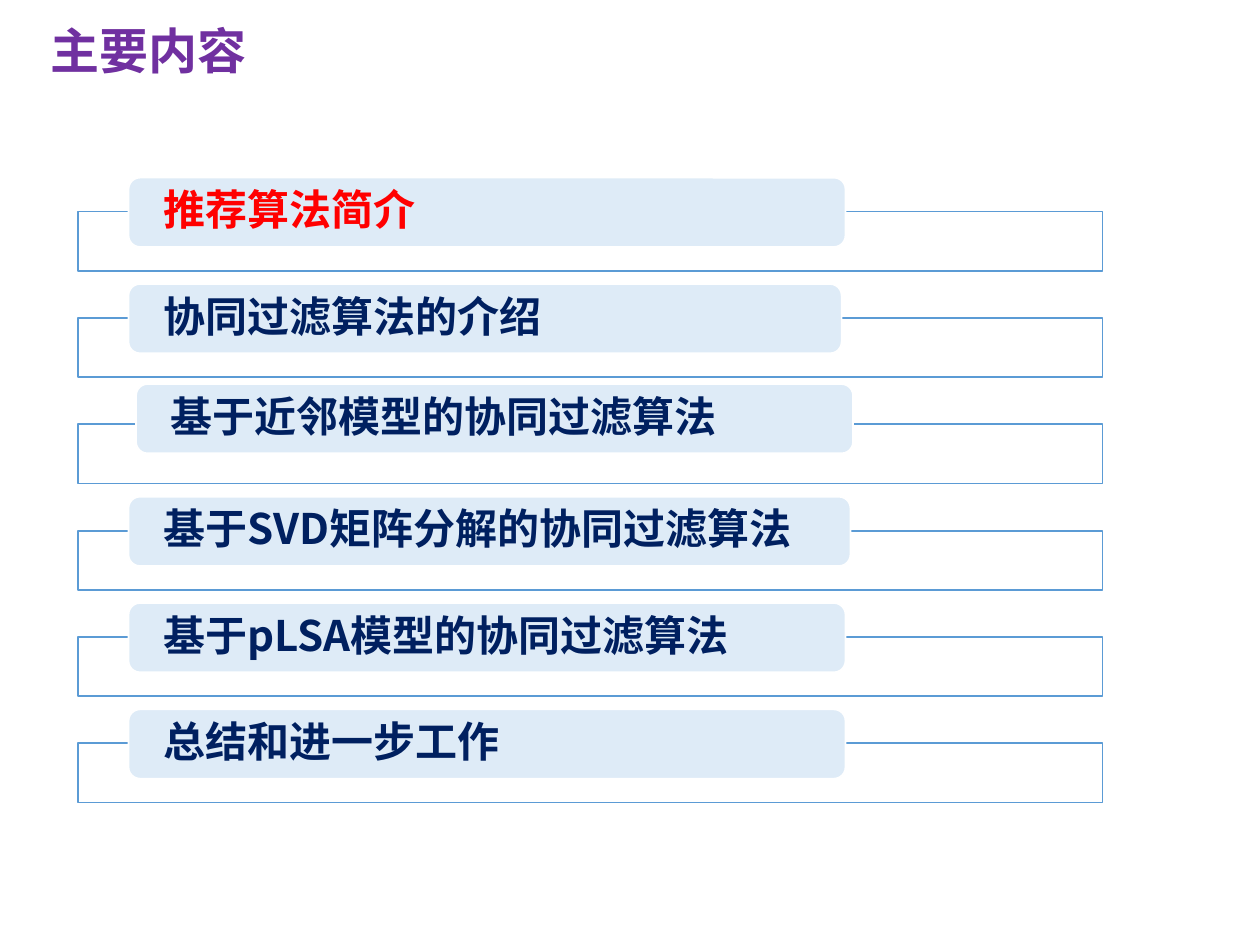
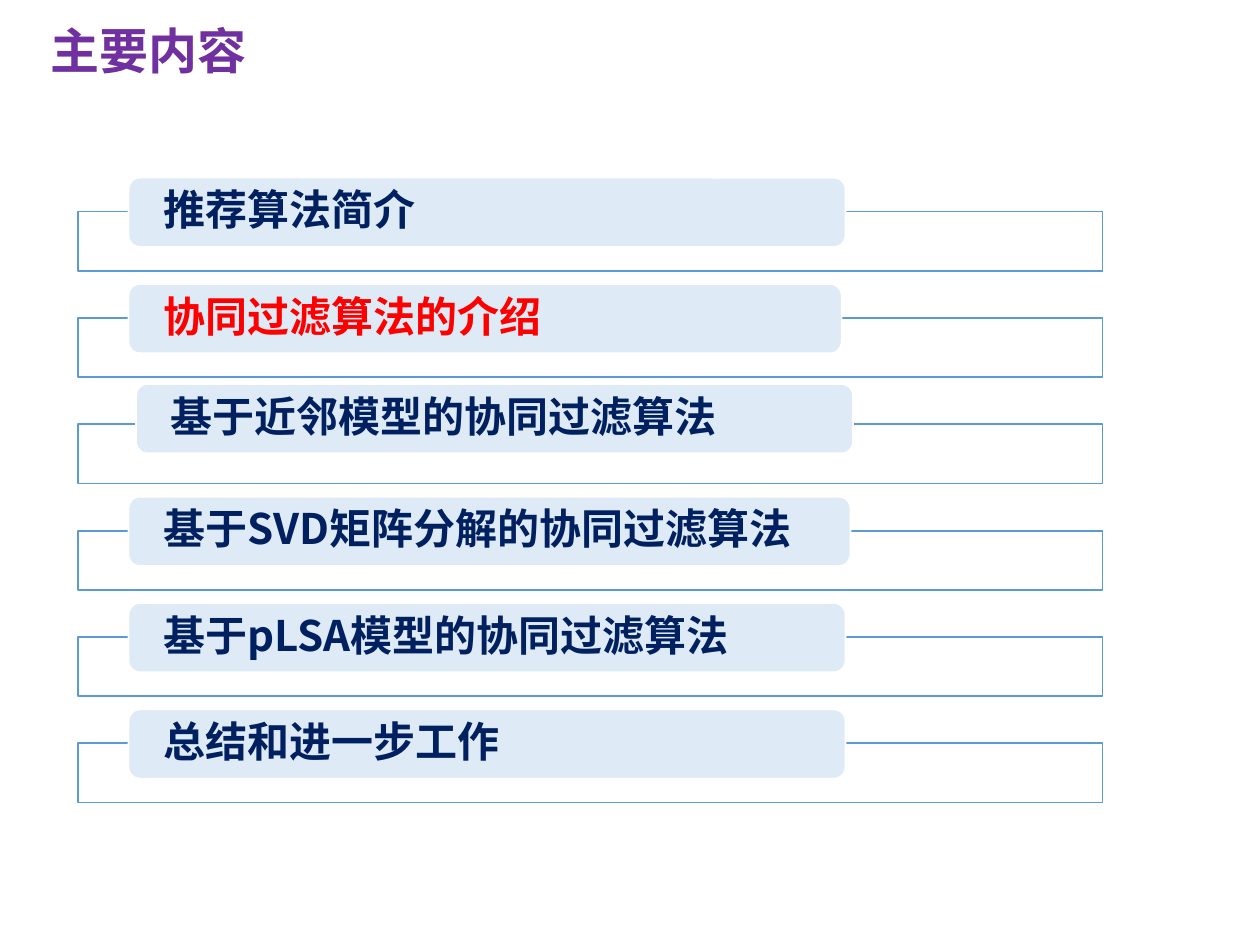
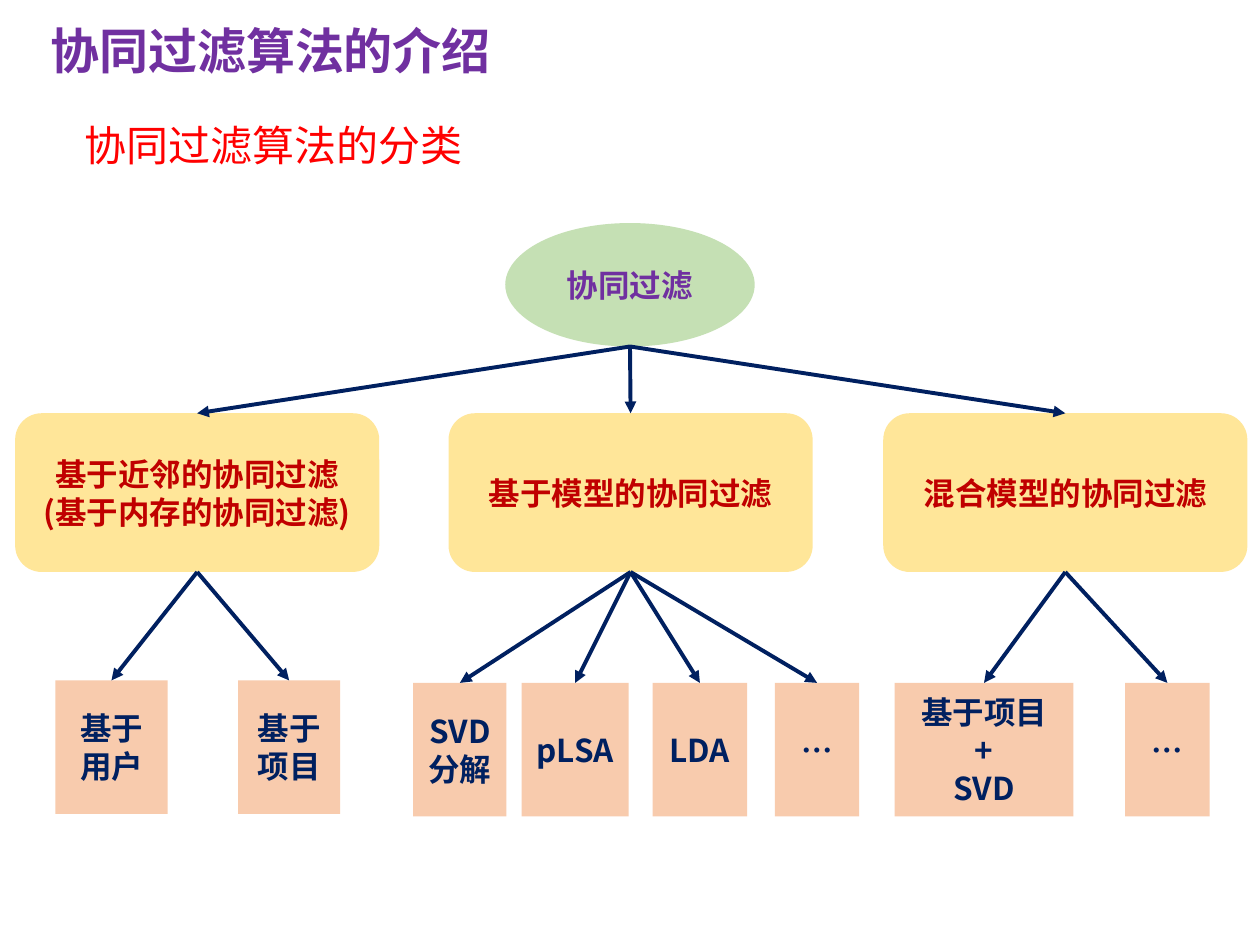
from lxml import etree
from pptx import Presentation
from pptx.dml.color import RGBColor
from pptx.enum.shapes import MSO_CONNECTOR, MSO_SHAPE
from pptx.enum.text import MSO_ANCHOR, PP_ALIGN
from pptx.oxml.ns import qn
from pptx.util import Inches, Pt

RECT, ROUNDED, OVAL = MSO_SHAPE.RECTANGLE, MSO_SHAPE.ROUNDED_RECTANGLE, MSO_SHAPE.OVAL
STRAIGHT = MSO_CONNECTOR.STRAIGHT
TOP, MIDDLE = MSO_ANCHOR.TOP, MSO_ANCHOR.MIDDLE
LEFT, CENTER = PP_ALIGN.LEFT, PP_ALIGN.CENTER
TOP_SIDE, BOTTOM_SIDE = 0, 2

FONT = "Noto Sans CJK SC"
TITLE_ONLY = 5
COLORS = {
    "white": "FFFFFF", "purple": "7030A0", "red": "FF0000", "navy": "002060",
    "dark_red": "C00000", "frame": "5B9BD5", "tab": "DEEBF7",
    "root": "C5E0B4", "branch": "FFE699", "leaf": "F8CBAD",
}

# Topic, left, width and vertical shift of its tab
TOPICS = [
    ("推荐算法简介", 1.02, 5.69, 0),
    ("协同过滤算法的介绍", 1.02, 5.66, 0),
    ("基于近邻模型的协同过滤算法", 1.08, 5.69, -0.05),
    ("基于SVD矩阵分解的协同过滤算法", 1.02, 5.73, 0),
    ("基于pLSA模型的协同过滤算法", 1.02, 5.69, 0),
    ("总结和进一步工作", 1.02, 5.69, 0),
]
FIRST_FRAME, LAST_FRAME = 1.68, 5.9

# Branch, left, top of its leaves, and each leaf with left and width
BRANCHES = [
    ("基于近邻的协同过滤\n(基于内存的协同过滤)", 0.12, 5.4,
     [("基于用户", 0.44, 0.89), ("基于项目", 1.89, 0.81)]),
    ("基于模型的协同过滤", 3.56, 5.42,
     [("SVD分解", 3.28, 0.74), ("pLSA", 4.14, 0.85),
      ("LDA", 5.18, 0.75), ("…", 6.15, 0.67)]),
    ("混合模型的协同过滤", 7.01, 5.42,
     [("基于项目\n+\nSVD", 7.1, 1.42), ("…", 8.93, 0.67)]),
]


def rgb(name):
    return RGBColor.from_string(COLORS[name])


class Deck:
    def __init__(self):
        self.prs = Presentation()
        self.prs.slide_width, self.prs.slide_height = Inches(10), Inches(7.5)
        self.slide = None

    def set_text(self, frame, text, size, color, bold=True, align=LEFT, anchor=TOP):
        frame.text = text
        frame.word_wrap = True
        frame.vertical_anchor = anchor
        for paragraph in frame.paragraphs:
            paragraph.alignment = align
            font = paragraph.font
            font.name, font.size, font.bold = FONT, Pt(size), bold
            font.color.rgb = rgb(color)
            # Chinese glyphs take their typeface from the East Asian font
            properties = paragraph._p.pPr.find(qn("a:defRPr"))
            etree.SubElement(properties, qn("a:ea"), typeface=FONT)

    def add_slide(self, heading):
        self.slide = self.prs.slides.add_slide(self.prs.slide_layouts[TITLE_ONLY])
        title = self.slide.shapes.title
        title.left, title.top = Inches(0.3), Inches(0.11)
        title.width, title.height = Inches(4.45), Inches(0.57)
        self.set_text(title.text_frame, heading, 28, "purple")

    def subtitle(self, text):
        box = self.slide.shapes.add_textbox(
            Inches(0.57), Inches(0.9), Inches(5.98), Inches(0.5))
        self.set_text(box.text_frame, text, 24, "red", bold=False)

    def box(self, kind, left, top, width, height, fill, line=None):
        shape = self.slide.shapes.add_shape(
            kind, Inches(left), Inches(top), Inches(width), Inches(height))
        shape.shadow.inherit = False
        shape.fill.solid()
        shape.fill.fore_color.rgb = rgb(fill)
        if line:
            shape.line.color.rgb = rgb(line)
            shape.line.width = Pt(1)
        else:
            shape.line.fill.background()
        return shape

    def tab(self, text, left, top, width, color):
        tab = self.box(ROUNDED, left, top, width, 0.55, "tab", "white")
        frame = tab.text_frame
        self.set_text(frame, text, 24, color, anchor=MIDDLE)
        frame.paragraphs[0].line_spacing = 0.9
        frame.margin_left = frame.margin_right = Inches(0.25)
        frame.margin_top = frame.margin_bottom = 0

    def node(self, kind, text, left, top, width, height, fill, color):
        node = self.box(kind, left, top, width, height, fill)
        self.set_text(node.text_frame, text, 18, color, align=CENTER, anchor=MIDDLE)
        return node

    def arrow(self, parent, child):
        """Point from the bottom of parent to the top of child."""
        arrow = self.slide.shapes.add_connector(
            STRAIGHT, parent.left + parent.width // 2, parent.top + parent.height,
            child.left + child.width // 2, child.top)
        if parent.auto_shape_type != OVAL:
            arrow.begin_connect(parent, BOTTOM_SIDE)
        arrow.end_connect(child, TOP_SIDE)
        arrow.line.color.rgb = rgb("navy")
        arrow.line.width = Pt(2.25)
        properties = arrow._element.spPr
        etree.SubElement(properties.find(qn("a:ln")), qn("a:tailEnd"), type="triangle")
        etree.SubElement(properties, qn("a:effectLst"))


def add_agenda(deck, current):
    deck.add_slide("主要内容")
    step = (LAST_FRAME - FIRST_FRAME) / (len(TOPICS) - 1)
    for index, (topic, left, width, shift) in enumerate(TOPICS):
        top = FIRST_FRAME + index * step
        deck.box(RECT, 0.62, top, 8.13, 0.47, "white", "frame")
        deck.tab(topic, left, top - 0.27 + shift, width,
                 "red" if index == current else "navy")


def add_classification(deck):
    deck.add_slide("协同过滤算法的介绍")
    deck.subtitle("协同过滤算法的分类")
    root = deck.node(OVAL, "协同过滤", 4.01, 1.77, 1.98, 0.98, "root", "purple")
    for name, left, leaf_top, leaves in BRANCHES:
        branch = deck.node(ROUNDED, name, left, 3.28, 2.89, 1.26, "branch", "dark_red")
        deck.arrow(root, branch)
        for method, leaf_left, width in leaves:
            leaf = deck.node(RECT, method, leaf_left, leaf_top, width, 1.06, "leaf", "navy")
            deck.arrow(branch, leaf)


def main():
    deck = Deck()
    for current in (0, 1):
        add_agenda(deck, current)
    add_classification(deck)
    deck.prs.save("out.pptx")


if __name__ == "__main__":
    main()
